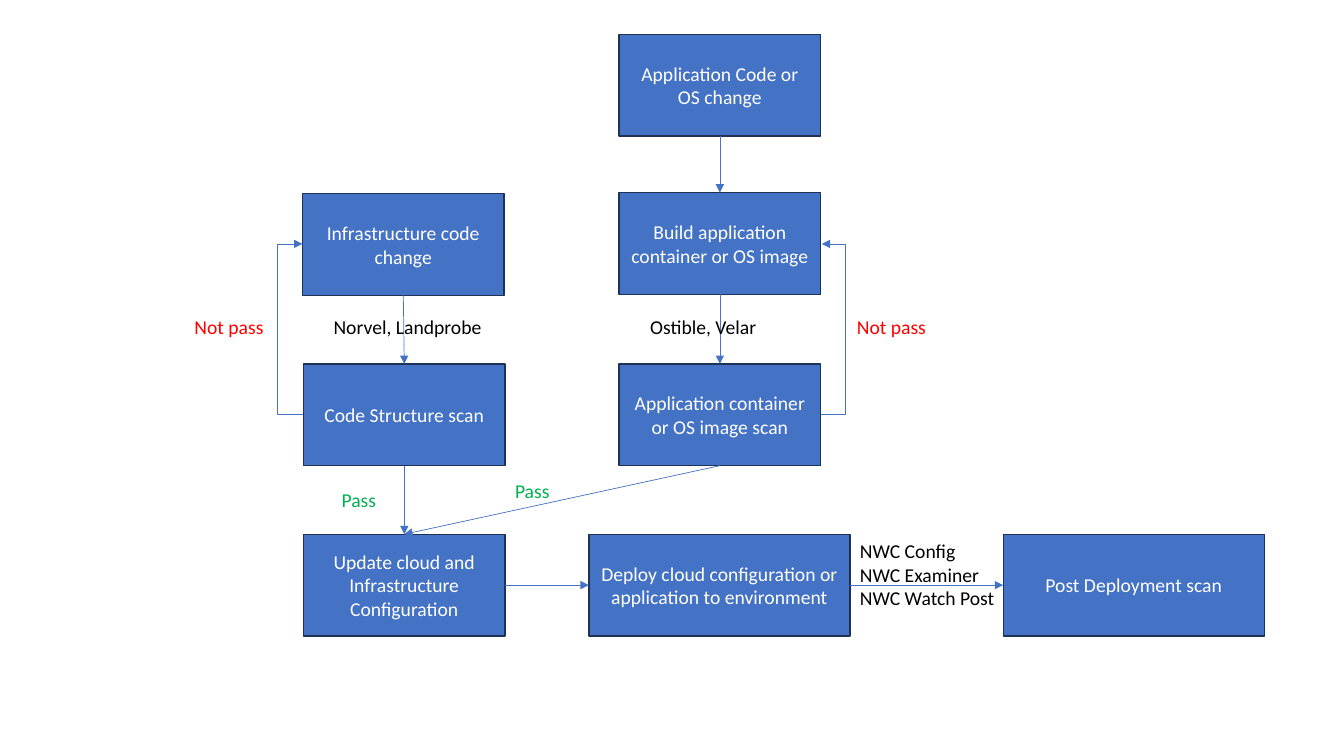
from lxml.etree import SubElement
from pptx import Presentation
from pptx.dml.color import RGBColor
from pptx.enum.shapes import MSO_CONNECTOR as Link, MSO_SHAPE as Shape
from pptx.enum.text import MSO_ANCHOR as Anchor, MSO_AUTO_SIZE as Fit, PP_ALIGN as Align
from pptx.oxml.ns import qn
from pptx.util import Inches, Pt

BLUE = RGBColor(0x44, 0x72, 0xC4)
NAVY = RGBColor(0x1E, 0x32, 0x56)
WHITE = RGBColor(0xFF, 0xFF, 0xFF)
BLACK = RGBColor(0, 0, 0)
RED = RGBColor(0xFF, 0, 0)
GREEN = RGBColor(0, 0xB0, 0x50)

SLIM, WIDE, HIGH = 2, 2.59, 1.01
INFRA, APP = 3.01, 6.14  # left edges of the two columns
SCAN, LAST = 3.61, 5.3   # tops of the two lower rows

# Steps: key -> text, left, top, width
STEPS = {
    "code": ("Application Code or OS change", APP, 0.34, SLIM),
    "build": ("Build application container or OS image", APP, 1.91, SLIM),
    "image": ("Application container or OS image scan", APP, SCAN, SLIM),
    "update": ("Update cloud and Infrastructure Configuration", INFRA, LAST, SLIM),
    "deploy": ("Deploy cloud configuration or application to environment", 5.84, LAST, WIDE),
    "infra": ("Infrastructure code change", 3, 1.92, SLIM),
    "scan": ("Code Structure scan", INFRA, SCAN, SLIM),
    "post": ("Post Deployment scan", 9.95, LAST, WIDE),
}

# Connection sites of a rectangle
TOP, LEFT, BOTTOM, RIGHT = range(4)
DOWN, ACROSS = (BOTTOM, TOP), (RIGHT, LEFT)
FLOWS = [
    ("infra", "scan", DOWN), ("scan", "update", DOWN),
    ("code", "build", DOWN), ("build", "image", DOWN),
    ("image", "update", DOWN),
    ("update", "deploy", ACROSS), ("deploy", "post", ACROSS),
]

# Retry loops: start x, y, end x, y, x of the outer leg
LOOPS = [(3.01, 4.11, 3, 2.42, 2.75), (8.14, 4.11, 8.15, 2.42, 8.39)]

# Labels: text, colour, left, top, width, height, wrap
LABELS = [
    ("Norvel, Landprobe", BLACK, 3.21, 3.08, 1.79, 0.34, False),
    ("Pass", GREEN, 3.29, 4.79, 0.64, 0.34, False),
    ("Not pass", RED, 1.83, 3.08, 0.98, 0.34, False),
    ("Ostible, Velar", BLACK, 6.35, 3.08, 1.36, 0.34, False),
    ("Pass", GREEN, 5.01, 4.7, 0.64, 0.34, False),
    ("Not pass", RED, 8.4, 3.08, 0.98, 0.34, False),
    ("NWC Config\nNWC Examiner\nNWC Watch Post", BLACK, 8.43, LAST, 2.18, 0.81, True),
]

deck = Presentation()
deck.slide_width, deck.slide_height = Inches(13.33), Inches(7.5)
shapes = deck.slides.add_slide(deck.slide_layouts[6]).shapes


def write(frame, text, color, align):
    frame.text = text
    for para in frame.paragraphs:
        para.alignment = align
        for run in para.runs:
            run.font.name, run.font.size = "Calibri", Pt(14)
            run.font.color.rgb = color


def arrow(kind, *ends):
    link = shapes.add_connector(kind, *map(Inches, ends))
    link.line.color.rgb, link.line.width = BLUE, Pt(0.5)
    SubElement(link.line.get_or_add_ln() if hasattr(link.line, "get_or_add_ln")
               else link.get_or_add_ln(), qn("a:tailEnd"), type="triangle")
    SubElement(link.element.spPr, qn("a:effectLst"))
    return link


# Step boxes
boxes = {}
for key, (text, left, top, width) in STEPS.items():
    box = shapes.add_shape(Shape.RECTANGLE, *map(Inches, (left, top, width, HIGH)))
    box.shadow.inherit = False
    box.fill.solid()
    box.fill.fore_color.rgb = BLUE
    box.line.color.rgb, box.line.width = NAVY, Pt(1)
    box.text_frame.word_wrap = True
    box.text_frame.vertical_anchor = Anchor.MIDDLE
    write(box.text_frame, text, WHITE, Align.CENTER)
    boxes[key] = box

# Straight arrows between steps
for start, end, (out, into) in FLOWS:
    link = arrow(Link.STRAIGHT, 0, 0, 1, 1)
    link.begin_connect(boxes[start], out)
    link.end_connect(boxes[end], into)

# Bent arrows back to the change steps
for x1, y1, x2, y2, leg in LOOPS:
    link = arrow(Link.ELBOW, x1, y1, x2, y2)
    ratio = round((leg - x1) / (x2 - x1) * 100000)
    guides = link.element.spPr.find(qn("a:prstGeom")).find(qn("a:avLst"))
    SubElement(guides, qn("a:gd"), name="adj1", fmla=f"val {ratio}")

# Labels
for text, color, left, top, width, height, wrap in LABELS:
    frame = shapes.add_textbox(*map(Inches, (left, top, width, height))).text_frame
    frame.word_wrap, frame.auto_size = wrap, Fit.SHAPE_TO_FIT_TEXT
    write(frame, text, color, Align.LEFT)

deck.save("out.pptx")
